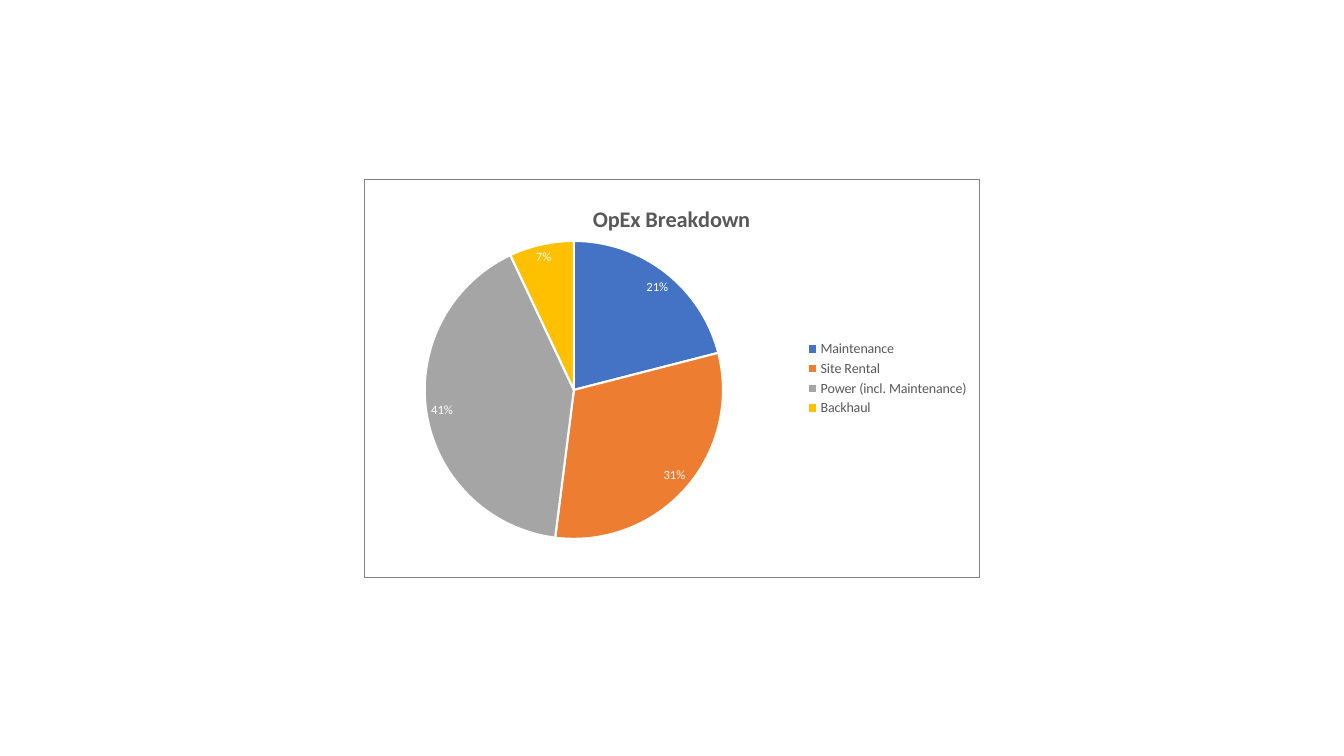
"""Build a slide with a pie chart of the operating cost breakdown."""
from dataclasses import dataclass

from lxml.etree import SubElement
from pptx import Presentation
from pptx.chart.chart import Chart
from pptx.chart.data import CategoryChartData
from pptx.dml.color import RGBColor
from pptx.enum.chart import XL_CHART_TYPE, XL_LABEL_POSITION, XL_LEGEND_POSITION
from pptx.oxml import parse_xml
from pptx.oxml.ns import nsdecls, qn
from pptx.text.text import Font
from pptx.util import Inches, Pt

COLORS = {
    "text": "595959",
    "label": "FFFFFF",
    "border": "808080",
    "blue": "4472C4",
    "orange": "ED7D31",
    "gray": "A5A5A5",
    "yellow": "FFC000",
}


@dataclass(frozen=True)
class Cost:
    name: str
    share: float
    color: str


@dataclass(frozen=True)
class Frame:
    left: float
    top: float
    width: float
    height: float


COSTS = [
    Cost("Maintenance", 0.21, "blue"),
    Cost("Site Rental", 0.31, "orange"),
    Cost("Power (incl. Maintenance)", 0.41, "gray"),
    Cost("Backhaul", 0.07, "yellow"),
]
CHART_FRAME = Frame(3.61 / 13.33, 1.78 / 7.5, 6.11 / 13.33, 3.95 / 7.5)
PLOT_LAYOUT = {"layoutTarget": "inner", "xMode": "edge", "yMode": "edge",
               "x": "0.098", "y": "0.132", "w": "0.485", "h": "0.794"}
TITLE_LAYOUT = {"xMode": "edge", "yMode": "edge", "x": "0.365", "y": "0.05"}


def color(name: str) -> RGBColor:
    return RGBColor.from_string(COLORS[name])


def style_font(font: Font, size: float, color_name: str, bold: bool = False) -> None:
    font.name = "Calibri"
    font.size = Pt(size)
    font.bold = bold
    font.color.rgb = color(color_name)


def set_layout(parent, index: int, settings: dict[str, str]) -> None:
    for old_layout in parent.findall(qn("c:layout")):
        parent.remove(old_layout)
    layout = parse_xml(f"<c:layout {nsdecls('c')}><c:manualLayout/></c:layout>")
    for tag, value in settings.items():
        SubElement(layout[0], qn(f"c:{tag}")).set("val", value)
    parent.insert(index, layout)


def draw_border(chart: Chart) -> None:
    chart_space = chart._chartSpace
    chart_element = chart_space.find(qn("c:chart"))
    for old_corners in chart_space.findall(qn("c:roundedCorners")):
        chart_space.remove(old_corners)
    chart_element.addprevious(
        parse_xml(f'<c:roundedCorners {nsdecls("c")} val="0"/>'))
    chart_element.addnext(parse_xml(
        f'<c:spPr {nsdecls("c", "a")}><a:noFill/><a:ln w="{Pt(0.75)}"><a:solidFill>'
        f'<a:srgbClr val="{COLORS["border"]}"/></a:solidFill></a:ln></c:spPr>'))


def style_title(chart: Chart) -> None:
    chart.has_title = True
    title = chart.chart_title
    paragraph = title.text_frame.paragraphs[0]
    paragraph.text = "OpEx Breakdown"
    style_font(paragraph.runs[0].font, 16, "text", bold=True)
    set_layout(title._element, 1, TITLE_LAYOUT)


def style_legend(chart: Chart) -> None:
    chart.has_legend = True
    chart.legend.position = XL_LEGEND_POSITION.RIGHT
    chart.legend.include_in_layout = False
    style_font(chart.legend.font, 10, "text")


def style_slices(chart: Chart) -> None:
    plot = chart.plots[0]
    plot.vary_by_categories = True
    for index, cost in enumerate(COSTS):
        slice_format = plot.series[0].points[index].format
        slice_format.fill.solid()
        slice_format.fill.fore_color.rgb = color(cost.color)
        slice_format.line.color.rgb = color("label")
        slice_format.line.width = Pt(1.5)
    labels = plot.series[0].data_labels
    labels.show_value = True
    labels.number_format = "0%"
    labels.number_format_is_linked = False
    labels.position = XL_LABEL_POSITION.BEST_FIT
    style_font(labels.font, 9, "label")
    set_layout(plot._element.getparent(), 0, PLOT_LAYOUT)


def main() -> None:
    presentation = Presentation()
    presentation.slide_width = Inches(13.33)
    presentation.slide_height = Inches(7.5)
    slide = presentation.slides.add_slide(presentation.slide_layouts[6])

    chart_data = CategoryChartData(number_format="0%")
    chart_data.categories = [cost.name for cost in COSTS]
    chart_data.add_series("Series 1", [cost.share for cost in COSTS])
    chart = slide.shapes.add_chart(
        XL_CHART_TYPE.PIE,
        round(CHART_FRAME.left * presentation.slide_width),
        round(CHART_FRAME.top * presentation.slide_height),
        round(CHART_FRAME.width * presentation.slide_width),
        round(CHART_FRAME.height * presentation.slide_height),
        chart_data,
    ).chart
    style_font(chart.font, 10, "text")
    style_title(chart)
    style_legend(chart)
    style_slices(chart)
    draw_border(chart)
    presentation.save("out.pptx")


if __name__ == "__main__":
    main()
